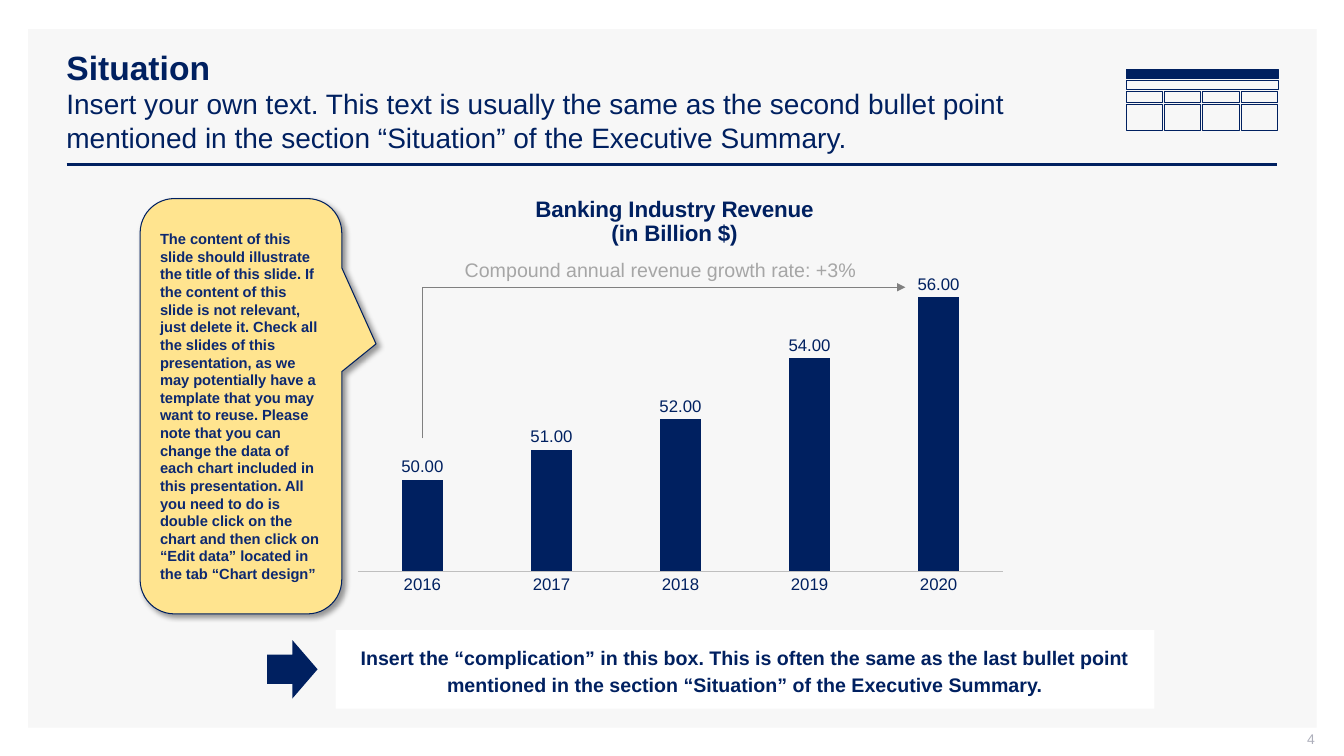
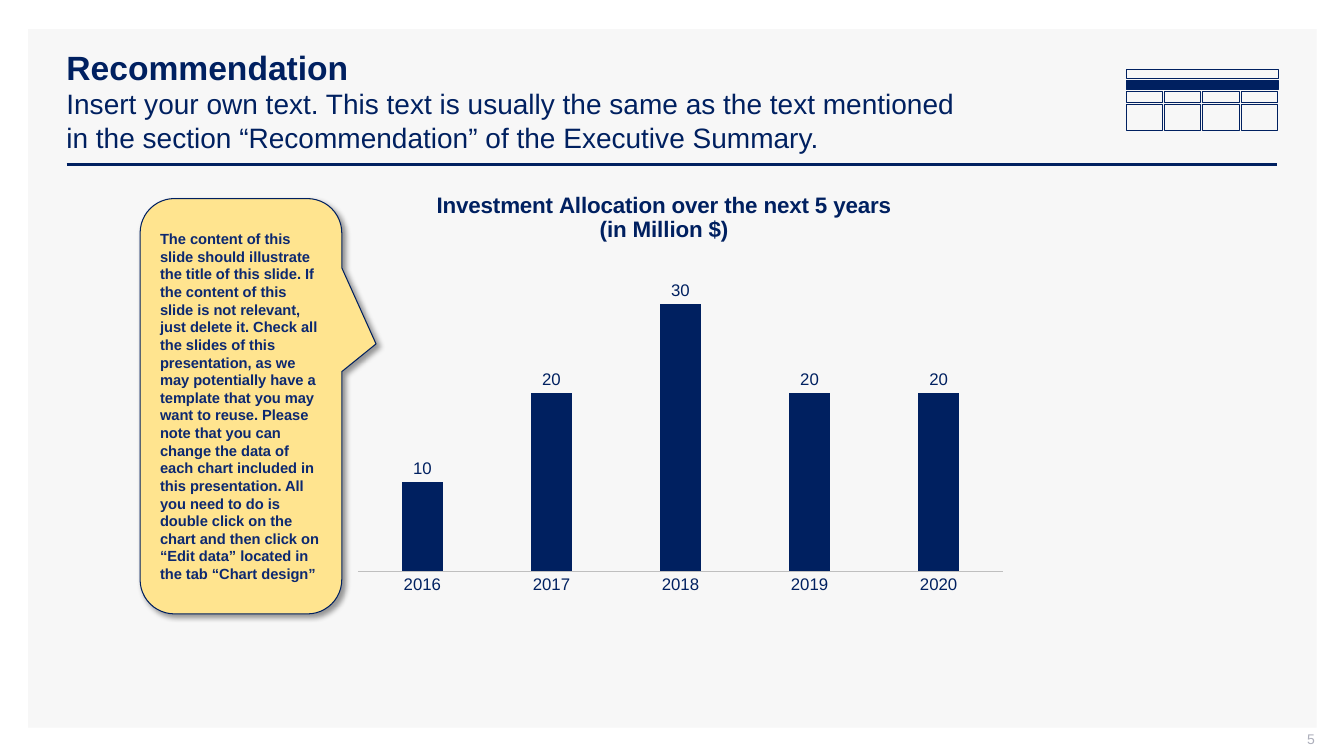
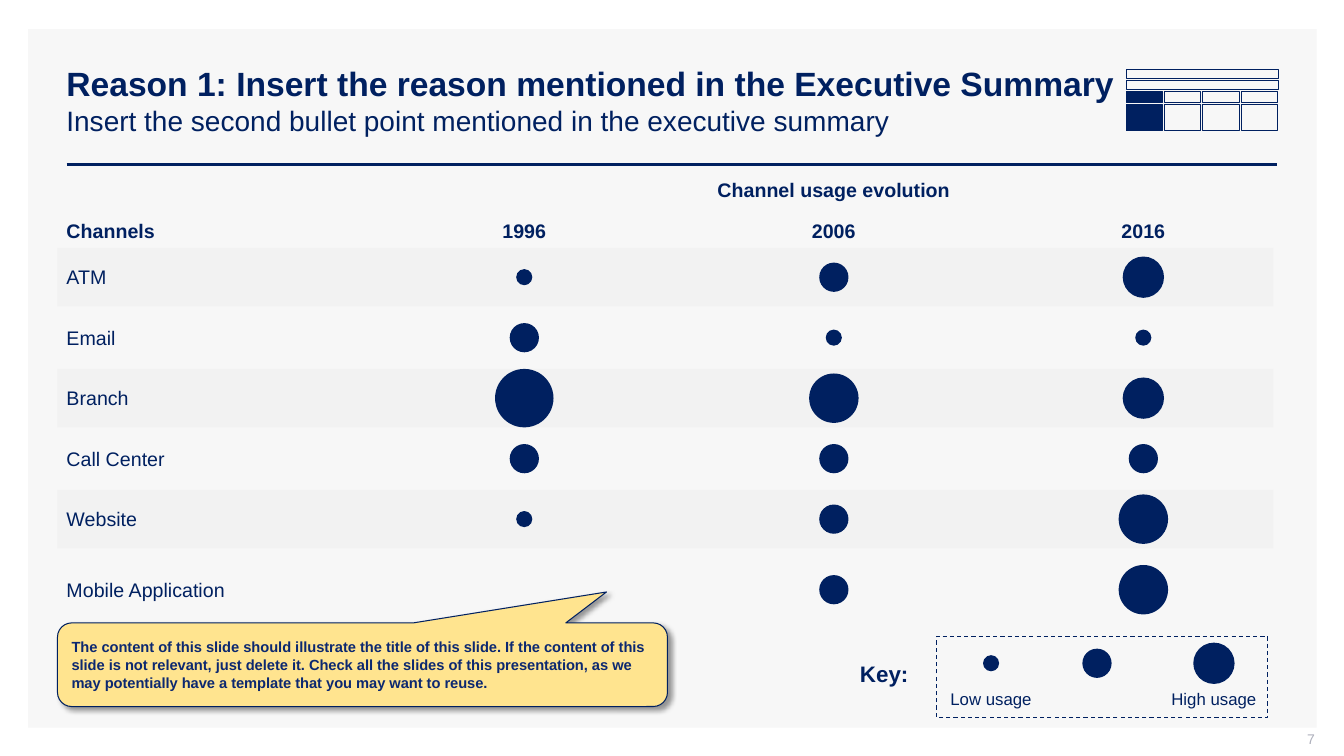
from dataclasses import dataclass
from typing import Any, Optional

import lxml.etree
import pptx
import pptx.chart.data
import pptx.dml.color
import pptx.enum.chart
import pptx.enum.dml
import pptx.enum.shapes
import pptx.enum.text
import pptx.oxml.ns
import pptx.slide
import pptx.util

Inches = pptx.util.Inches
Pt = pptx.util.Pt
qn = pptx.oxml.ns.qn
SHAPE = pptx.enum.shapes.MSO_SHAPE
ALIGN = pptx.enum.text.PP_ALIGN
ANCHOR = pptx.enum.text.MSO_ANCHOR

NAVY, WHITE, PANEL, BAND = "002060", "FFFFFF", "F7F7F7", "F2F2F2"
YELLOW, CALLOUT_INK, PAGE_GREY = "FFE48F", "0C2870", "ADAFBB"
LABEL_GREY, ARROW_GREY, AXIS_GREY = "A6A6A6", "808080", "BFBFBF"
FONT = "Arial"
NO_INSETS = (0, 0, 0, 0)
USUAL_INSETS = (0.1, 0.05, 0.1, 0.05)

SHORT_HINT = (
    "The content of this slide should illustrate the title of this slide. "
    "If the content of this slide is not relevant, just delete it. Check all the slides "
    "of this presentation, as we may potentially have a template that you may want to reuse."
)
LONG_HINT = SHORT_HINT + (
    " Please note that you can change the data of each chart included in this presentation. "
    "All you need to do is double click on the chart and then click on “Edit data” "
    "located in the tab “Chart design”"
)


@dataclass(frozen=True)
class Box:
    left: float
    top: float
    width: float
    height: float

    def lengths(self) -> list[pptx.util.Length]:
        return [Inches(value) for value in (self.left, self.top, self.width, self.height)]


@dataclass(frozen=True)
class Style:
    size: float
    bold: bool = False
    color: str = NAVY


@dataclass(frozen=True)
class Heading:
    title: str
    subtitle: str
    number: int
    marked: tuple[tuple[int, int], ...]  # filled (row, column) cells of the navigator


@dataclass(frozen=True)
class ColumnChart:
    title: tuple[str, str]
    values: tuple[int, ...]
    number_format: str
    minimum: int
    maximum: int
    box: Box
    plot: Box
    title_left: float
    title_top: float


@dataclass(frozen=True)
class Channel:
    name: str
    center: float
    usage: tuple[int, int, int]
    banded: bool = False


@dataclass(frozen=True)
class KeyEntry:
    center: float
    level: int
    label: str = ""


HEADINGS = (
    Heading("Situation",
            "Insert your own text. This text is usually the same as the second bullet point\v"
            "mentioned in the section “Situation” of the Executive Summary.",
            4, ((0, 0),)),
    Heading("Recommendation",
            "Insert your own text. This text is usually the same as the text mentioned\v"
            "in the section “Recommendation” of the Executive Summary.",
            5, ((1, 0),)),
    Heading("Reason 1: Insert the reason mentioned in the Executive Summary",
            "Insert the second bullet point mentioned in the executive summary",
            7, ((2, 0), (3, 0))),
)
YEARS = ("2016", "2017", "2018", "2019", "2020")
REVENUE = ColumnChart(
    ("Banking Industry Revenue", "(in Billion $)"), (50, 51, 52, 54, 56), "0.00", 47, 57,
    Box(3.42, 1.86, 6.67, 4.11), Box(3.55, 2.65, 6.4, 3.02), 5.28, 1.91)
INVESTMENT = ColumnChart(
    ("Investment Allocation over the next 5 years", "(in Million $)"),
    (10, 20, 30, 20, 20), "0", 0, 35,
    Box(3.42, 1.77, 6.67, 4.2), Box(3.55, 2.57, 6.4, 3.1), 4.3, 1.87)

DIAMETERS = (0, 0.16, 0.29, 0.41, 0.49, 0.58)  # by usage level
FIRST_ROW, ROW_STEP = 2.75, 0.6
FIRST_COLUMN, COLUMN_STEP = 5.2, 3.07
USAGE = (
    ("ATM", (1, 2, 3)),
    ("Email", (2, 1, 1)),
    ("Branch", (5, 4, 3)),
    ("Call Center", (2, 2, 2)),
    ("Website", (1, 2, 4)),
)
CHANNELS = [
    Channel(name, FIRST_ROW + ROW_STEP * row, usage, row % 2 == 0)
    for row, (name, usage) in enumerate(USAGE)
] + [Channel("Mobile Application", 5.85, (0, 2, 4))]
KEY = (KeyEntry(9.83, 1, "Low usage"), KeyEntry(10.88, 2), KeyEntry(12.04, 3, "High usage"))


def rgb(color: str) -> pptx.dml.color.RGBColor:
    return pptx.dml.color.RGBColor.from_string(color)


def apply(target: Any, values: dict[str, Any]) -> None:
    for name, value in values.items():
        setattr(target, name, value)


def set_font(font: Any, style: Style) -> None:
    apply(font, {"name": FONT, "size": Pt(style.size), "bold": style.bold})
    font.color.rgb = rgb(style.color)


def set_line(line: Any, color: str, width: float) -> None:
    line.color.rgb = rgb(color)
    line.width = Pt(width)


def write(frame: Any, parts: list[tuple[str, Style]], align: Any = ALIGN.LEFT,
          anchor: Any = ANCHOR.TOP, insets: tuple = USUAL_INSETS,
          spacing: Optional[float] = None) -> None:
    """Fill a text frame with one paragraph for each part."""
    sides = ("margin_left", "margin_top", "margin_right", "margin_bottom")
    apply(frame, dict(zip(sides, map(Inches, insets))))
    apply(frame, {"word_wrap": True, "vertical_anchor": anchor})
    for index, (text, style) in enumerate(parts):
        para = frame.add_paragraph() if index else frame.paragraphs[0]
        para.text = text
        apply(para, {"alignment": align, "line_spacing": spacing})
        for span in para.runs:
            set_font(span.font, style)


def add_text(page: pptx.slide.Slide, box: Box, text: str, style: Style, **layout: Any) -> None:
    write(page.shapes.add_textbox(*box.lengths()).text_frame, [(text, style)], **layout)


def add_shape(page: pptx.slide.Slide, kind: Any, box: Box,
              fill: Optional[str] = None, line: Optional[str] = None) -> Any:
    shape = page.shapes.add_shape(kind, *box.lengths())
    shape.shadow.inherit = False
    if fill:
        shape.fill.solid()
        shape.fill.fore_color.rgb = rgb(fill)
    else:
        shape.fill.background()
    if line:
        set_line(shape.line, line, 0.75)
    else:
        shape.line.fill.background()
    return shape


def add_dot(page: pptx.slide.Slide, x: float, y: float, level: int) -> None:
    size = DIAMETERS[level]
    if size:
        add_shape(page, SHAPE.OVAL, Box(x - size / 2, y - size / 2, size, size), NAVY)


def add_navigator(page: pptx.slide.Slide, marked: tuple) -> None:
    """Draw the small storyline map at the top right."""
    rows = ((0.69, 0.09, 1), (0.8, 0.09, 1), (0.91, 0.11, 4), (1.04, 0.26, 4))
    for row, (top, height, count) in enumerate(rows):
        for column in range(count):
            width = 1.51 if count == 1 else 0.36
            add_shape(page, SHAPE.RECTANGLE, Box(11.17 + 0.38 * column, top, width, height),
                      NAVY if (row, column) in marked else None, NAVY)


def add_page(deck: Any, heading: Heading) -> pptx.slide.Slide:
    page = deck.slides.add_slide(deck.slide_layouts[6])
    add_shape(page, SHAPE.RECTANGLE, Box(0.28, 0.29, 12.78, 6.93), PANEL)
    rule = page.shapes.add_connector(
        pptx.enum.shapes.MSO_CONNECTOR.STRAIGHT,
        Inches(0.66), Inches(1.63), Inches(12.67), Inches(1.63))
    set_line(rule.line, NAVY, 2)
    lxml.etree.SubElement(rule.element.spPr, qn("a:effectLst"))
    title = page.shapes.add_textbox(*Box(0.56, 0.4, 12.11, 1.19).lengths())
    write(title.text_frame,
          [(heading.title, Style(24, True)), (heading.subtitle, Style(20))],
          anchor=ANCHOR.MIDDLE)
    add_text(page, Box(10.04, 7.25, 3, 0.21), str(heading.number), Style(10, color=PAGE_GREY),
             align=ALIGN.RIGHT, anchor=ANCHOR.MIDDLE, insets=(0.1, 0, 0, 0.05))
    add_navigator(page, heading.marked)
    return page


def add_callout(page: pptx.slide.Slide, box: Box, text: str, tip: tuple[float, float]) -> None:
    callout = add_shape(page, SHAPE.ROUNDED_RECTANGULAR_CALLOUT, box, YELLOW, NAVY)
    for index, value in enumerate((*tip, 0.17)):
        callout.adjustments[index] = value
    effects = callout.element.spPr.find(qn("a:effectLst"))
    shadow = lxml.etree.SubElement(effects, qn("a:outerShdw"), {
        "blurRad": str(Pt(4)), "dist": str(Pt(3)), "dir": str(45 * 60000),
        "algn": "tl", "rotWithShape": "0"})
    shade = lxml.etree.SubElement(shadow, qn("a:srgbClr"), val="000000")
    lxml.etree.SubElement(shade, qn("a:alpha"), val="40000")
    write(callout.text_frame, [(text, Style(10.5, True, CALLOUT_INK))], anchor=ANCHOR.MIDDLE)


def place(parent: Any, index: int, values: dict[str, Any]) -> None:
    """Give a chart part a manual layout, as the child at the index."""
    layout = parent.find(qn("c:layout"))
    if layout is None:
        layout = lxml.etree.Element(qn("c:layout"))
        parent.insert(index, layout)
    manual = lxml.etree.SubElement(layout, qn("c:manualLayout"))
    for name, value in values.items():
        lxml.etree.SubElement(manual, qn("c:" + name), val=str(value))


def add_column_chart(page: pptx.slide.Slide, content: ColumnChart) -> None:
    data = pptx.chart.data.CategoryChartData()
    data.categories = YEARS
    data.add_series("Series 1", content.values)
    box, plot_box = content.box, content.plot
    chart = page.shapes.add_chart(
        pptx.enum.chart.XL_CHART_TYPE.COLUMN_CLUSTERED, *box.lengths(), data).chart
    chart.has_legend = False
    set_font(chart.font, Style(10))

    title = chart.chart_title
    write(title.text_frame, [(line, Style(16, True)) for line in content.title],
          align=ALIGN.CENTER)
    place(title.element, 1, {
        "xMode": "edge", "yMode": "edge",
        "x": round((content.title_left - box.left) / box.width, 4),
        "y": round((content.title_top - box.top) / box.height, 4)})
    place(chart.element.find(".//" + qn("c:plotArea")), 0, {
        "layoutTarget": "inner", "xMode": "edge", "yMode": "edge",
        "x": round((plot_box.left - box.left) / box.width, 4),
        "y": round((plot_box.top - box.top) / box.height, 4),
        "w": round(plot_box.width / box.width, 4),
        "h": round(plot_box.height / box.height, 4)})

    apply(chart.value_axis, {
        "visible": False, "has_major_gridlines": False,
        "minimum_scale": content.minimum, "maximum_scale": content.maximum})
    years = chart.category_axis
    years.major_tick_mark = pptx.enum.chart.XL_TICK_MARK.NONE
    set_font(years.tick_labels.font, Style(12))
    set_line(years.format.line, AXIS_GREY, 0.75)

    plot = chart.plots[0]
    apply(plot, {"gap_width": 219, "overlap": -27, "vary_by_categories": False,
                 "has_data_labels": True})
    apply(plot.data_labels, {
        "show_value": True, "number_format": content.number_format,
        "number_format_is_linked": False,
        "position": pptx.enum.chart.XL_LABEL_POSITION.OUTSIDE_END})
    set_font(plot.data_labels.font, Style(12))
    columns = plot.series[0].format.fill
    columns.solid()
    columns.fore_color.rgb = rgb(NAVY)


def add_chart_page(deck: Any, heading: Heading, content: ColumnChart) -> pptx.slide.Slide:
    page = add_page(deck, heading)
    add_column_chart(page, content)
    add_callout(page, Box(1.39, 1.97, 2, 4.12), LONG_HINT, (0.67, -0.15))
    return page


def add_growth_arrow(page: pptx.slide.Slide) -> None:
    builder = page.shapes.build_freeform(Inches(4.19), Inches(4.35))
    builder.add_line_segments(
        [(Inches(4.19), Inches(2.85)), (Inches(8.98), Inches(2.85))], close=False)
    arrow = builder.convert_to_shape()
    arrow.shadow.inherit = False
    arrow.fill.background()
    set_line(arrow.line, ARROW_GREY, 0.5)
    lxml.etree.SubElement(arrow.element.spPr.find(qn("a:ln")), qn("a:tailEnd"), type="triangle")
    add_text(page, Box(4.51, 2.51, 4.42, 0.34), "Compound annual revenue growth rate: +3%",
             Style(14, color=LABEL_GREY))


def add_complication(page: pptx.slide.Slide) -> None:
    box = add_shape(page, SHAPE.RECTANGLE, Box(3.33, 6.25, 8.12, 0.78), WHITE)
    write(box.text_frame,
          [("Insert the “complication” in this box. This is often the same as the last bullet "
            "point mentioned in the section “Situation” of the Executive Summary.",
            Style(14, True))],
          align=ALIGN.CENTER, anchor=ANCHOR.MIDDLE, insets=(0.2, 0, 0.2, 0), spacing=1.15)
    add_shape(page, SHAPE.RIGHT_ARROW, Box(2.65, 6.35, 0.5, 0.58), NAVY)


def add_usage_grid(page: pptx.slide.Slide) -> None:
    add_text(page, Box(5.52, 1.72, 5.5, 0.34), "Channel usage evolution", Style(14, True),
             align=ALIGN.CENTER)
    add_text(page, Box(0.66, 2.17, 2.8, 0.24), "Channels", Style(14, True), insets=NO_INSETS)
    centers = [FIRST_COLUMN + COLUMN_STEP * column for column in range(3)]
    for x, year in zip(centers, ("1996", "2006", "2016")):
        add_text(page, Box(x - 1.32, 2.17, 2.64, 0.24), year, Style(14, True),
                 align=ALIGN.CENTER, insets=NO_INSETS)
    for channel in CHANNELS:
        if channel.banded:
            add_shape(page, SHAPE.RECTANGLE, Box(0.57, channel.center - 0.29, 12.06, 0.58), BAND)
        add_text(page, Box(0.66, channel.center - 0.12, 2.8, 0.24), channel.name, Style(14),
                 insets=NO_INSETS)
        for x, level in zip(centers, channel.usage):
            add_dot(page, x, channel.center, level)


def add_key(page: pptx.slide.Slide) -> None:
    frame = add_shape(page, SHAPE.RECTANGLE, Box(9.29, 6.31, 3.28, 0.81), line=NAVY)
    frame.line.dash_style = pptx.enum.dml.MSO_LINE.DASH
    add_text(page, Box(8.53, 6.55, 0.63, 0.32), "Key:", Style(16, True),
             insets=(0, 0, 0.1, 0.05))
    for entry in KEY:
        add_dot(page, entry.center, 6.58, entry.level)
        if entry.label:
            add_text(page, Box(entry.center - 0.6, 6.83, 1.2, 0.2), entry.label, Style(12),
                     align=ALIGN.CENTER, insets=NO_INSETS)


def main() -> None:
    deck = pptx.Presentation()
    apply(deck, {"slide_width": Inches(13.33), "slide_height": Inches(7.5)})
    situation, recommendation, reason = HEADINGS

    page = add_chart_page(deck, situation, REVENUE)
    add_complication(page)
    add_growth_arrow(page)

    add_chart_page(deck, recommendation, INVESTMENT)

    page = add_page(deck, reason)
    add_usage_grid(page)
    add_key(page)
    add_callout(page, Box(0.57, 6.18, 6.05, 0.83), SHORT_HINT, (0.4, -0.87))

    deck.save("out.pptx")


if __name__ == "__main__":
    main()
